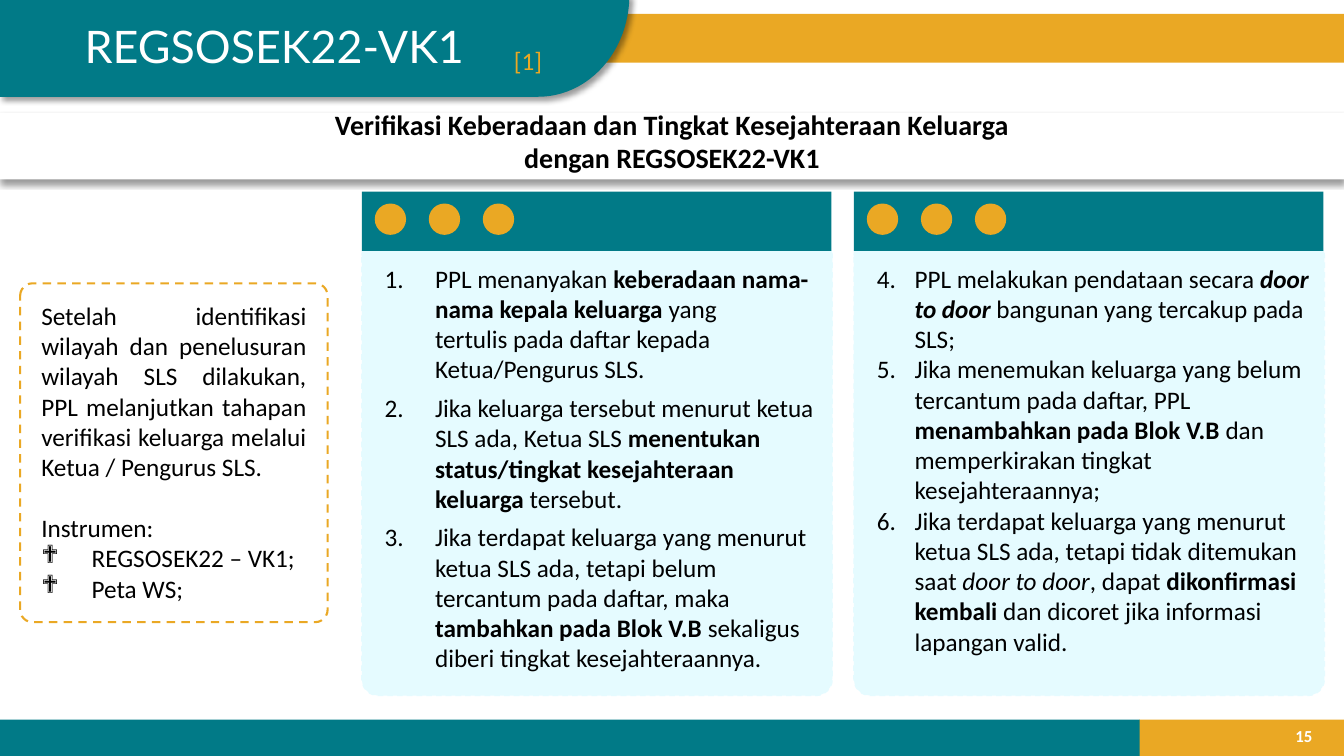
from math import cos, pi, sin

from lxml import etree
from pptx import Presentation
from pptx.dml.color import RGBColor
from pptx.enum import dml, shapes as sh, text as tx
from pptx.oxml import ns
from pptx.util import Pt

TEAL, GOLD, PALE, WHITE, BLACK = "017A87", "EAA824", "E5FBFF", "FFFFFF", "000000"
WIDE, HIGH = 960, 540
RECT, ROUND, OVAL = (sh.MSO_SHAPE.RECTANGLE, sh.MSO_SHAPE.ROUNDED_RECTANGLE,
                     sh.MSO_SHAPE.OVAL)
LEFT, MID, RIGHT, JUST = (tx.PP_ALIGN.LEFT, tx.PP_ALIGN.CENTER,
                          tx.PP_ALIGN.RIGHT, tx.PP_ALIGN.JUSTIFY)

# Each step is a list of runs: (text, style), where style holds b and/or i.
STEPS_A = [
    [("PPL menanyakan ", ""), ("keberadaan nama-nama kepala keluarga", "b"),
     (" yang tertulis\u00a0pada daftar kepada Ketua/Pengurus SLS.", "")],
    [("Jika keluarga tersebut menurut ketua SLS ada, Ketua SLS ", ""),
     ("menentukan status/tingkat kesejahteraan keluarga", "b"),
     (" tersebut.", "")],
    [("Jika terdapat keluarga yang menurut ketua SLS ada, tetapi belum "
      "tercantum pada daftar, maka", ""),
     (" tambahkan pada Blok V.B ", "b"),
     ("sekaligus diberi tingkat kesejahteraannya.", "")],
]
STEPS_B = [
    [("PPL melakukan pendataan secara ", ""), ("door to door", "bi"),
     (" bangunan yang tercakup pada SLS;", "")],
    [("Jika menemukan keluarga yang belum tercantum pada daftar, PPL ", ""),
     ("menambahkan pada Blok V.B ", "b"),
     ("dan memperkirakan tingkat kesejahteraannya;", "")],
    [("Jika terdapat keluarga yang menurut ketua SLS ada, tetapi tidak "
      "ditemukan saat ", ""), ("door to door", "i"), (", dapat ", ""),
     ("dikonfirmasi kembali ", "b"),
     ("dan dicoret jika informasi lapangan valid.", "")],
]


def paint(fmt, color):
    fmt.solid()
    fmt.fore_color.rgb = RGBColor.from_string(color)


def child(node, tag, **attrs):
    return etree.SubElement(node, ns.qn(tag), attrs)


def style(shape, fill=None, line=None, weight=1):
    """Fill a shape and give it a dashed line, or none."""
    shape.shadow.inherit = False
    if fill:
        paint(shape.fill, fill)
    else:
        shape.fill.background()
    if line:
        paint(shape.line.fill, line)
        shape.line.width = Pt(weight)
        shape.line.dash_style = dml.MSO_LINE.DASH
    else:
        shape.line.fill.background()
    return shape


def block(slide, kind, x, y, w, h, fill=None, **look):
    shape = slide.shapes.add_shape(kind, Pt(x), Pt(y), Pt(w), Pt(h))
    return style(shape, fill, **look)


def shade(shape, angle):
    """Cast a soft black shadow at an angle in degrees."""
    effect = shape.element.spPr.find(ns.qn("a:effectLst"))
    cast = child(effect, "a:outerShdw", blurRad=str(Pt(4)), dist=str(Pt(3)),
                 dir=str(angle * 60000), algn="t", rotWithShape="0")
    child(child(cast, "a:srgbClr", val=BLACK), "a:alpha", val="40000")


def bullet(para, indent, mark=None, start=1):
    """Hang a paragraph behind a mark, or behind a number."""
    props = para._p.get_or_add_pPr()
    props.set("marL", str(Pt(indent)))
    props.set("indent", str(-Pt(indent)))
    child(child(props, "a:buClr"), "a:srgbClr", val=BLACK)
    if mark:
        child(props, "a:buFont", typeface="Wingdings")
        child(props, "a:buChar", char=mark)
    else:
        child(props, "a:buFont", typeface="+mj-lt")
        child(props, "a:buAutoNum", type="arabicPeriod", startAt=str(start))


def font(para, size, color=BLACK, bold=None, face="Calibri", align=LEFT):
    para.alignment = align
    para.font.size, para.font.name, para.font.bold = Pt(size), face, bold
    paint(para.font.fill, color)


def write(slide, x, y, w, h, lines, size, wrap=True, **look):
    box = slide.shapes.add_textbox(Pt(x), Pt(y), Pt(w), Pt(h))
    frame = box.text_frame
    frame.word_wrap = wrap
    frame.text = "\n".join(lines)
    for para in frame.paragraphs:
        font(para, size, **look)
    return frame


def header(slide):
    block(slide, RECT, 363.6, 10, 596.4, 34.8, GOLD)
    top, low, edge, rx = -3.6, 69.1, 449.6, 65
    arc = [(edge - rx + rx * cos(k * pi / 48),
            top + (low - top) * sin(k * pi / 48)) for k in range(25)]
    outline = slide.shapes.build_freeform(Pt(-0.7), Pt(top), 1.0)
    outline.add_line_segments(
        [(Pt(px), Pt(py)) for px, py in arc + [(-0.7, low)]], close=True)
    shade(style(outline.convert_to_shape(), TEAL), 45)

    title = slide.shapes.title
    slide.shapes.element.append(title.element)  # in front of the tab
    title.left, title.top, title.width, title.height = map(
        Pt, (53.3, 10, 322.6, 46))
    frame = title.text_frame
    frame.text = "REGSOSEK22-VK1"
    frame.auto_size = tx.MSO_AUTO_SIZE.NONE
    frame.vertical_anchor = tx.MSO_ANCHOR.TOP
    font(frame.paragraphs[0], 32, WHITE, face="Lato")
    write(slide, 360, 29, 34.6, 29, ["[1]"], 18, wrap=False, color=GOLD)


def banner(slide, y):
    shade(block(slide, RECT, 0, y, WIDE, 47.5, WHITE), 90)
    write(slide, 23, y - 7.7, 914, 55.7,
          ["Verifikasi Keberadaan dan Tingkat Kesejahteraan Keluarga",
           "dengan REGSOSEK22-VK1"], 20, bold=True, align=MID)


def note(slide, x, y, w, h):
    frame = block(slide, ROUND, x, y, w, h, line=GOLD, weight=1.5)
    frame.adjustments[0] = 0.04
    body = write(slide, x + 8, y + 8.5, w - 16, h - 17, [
        "Setelah identifikasi wilayah dan penelusuran wilayah SLS dilakukan, "
        "PPL melanjutkan tahapan verifikasi keluarga melalui "
        "Ketua / Pengurus SLS.",
        "Instrumen:", "REGSOSEK22 – VK1;", "Peta WS;"], 18, align=JUST)
    body.paragraphs[1].space_before = Pt(22)
    for para in body.paragraphs[2:]:
        bullet(para, 36, "❖")


def card(slide, x, y, steps, start, indent, gap):
    """Draw a panel with a dotted header and a numbered list."""
    base = block(slide, ROUND, x, y + 34, 336, 326, PALE, line=PALE)
    base.adjustments[0] = 0.036
    block(slide, RECT, x, y, 335.3, 42.5, TEAL)
    for k in range(3):
        block(slide, OVAL, x + 9.2 + 38.6 * k, y + 8.6, 22.4, 22.4, GOLD)
    frame = write(slide, x + 9.2, y + 47.5, 327, 305, [""] * len(steps), 18)
    for k, (para, runs) in enumerate(zip(frame.paragraphs, steps)):
        # Bullet elements come before the default run properties.
        props = para._p.get_or_add_pPr()
        for node in list(props):
            props.remove(node)
        bullet(para, indent, start=start)
        font(para, 18)
        if k:
            para.space_before = Pt(gap)
        for words, mode in runs:
            run = para.add_run()
            run.text = words
            run.font.bold = "b" in mode
            run.font.italic = "i" in mode


def footer(slide, y):
    block(slide, RECT, 813.6, y, 146.4, HIGH - y, GOLD)
    block(slide, RECT, -0.7, y, 814.7, HIGH - y, TEAL)
    frame = write(slide, 910.8, y - 2.9, 33.8, 28.8, ["15"], 12,
                  color=WHITE, bold=True, align=RIGHT)
    frame.vertical_anchor = tx.MSO_ANCHOR.MIDDLE


def main():
    deck = Presentation()
    deck.slide_width, deck.slide_height = Pt(WIDE), Pt(HIGH)
    slide = deck.slides.add_slide(deck.slide_layouts[5])
    footer(slide, 514)
    header(slide)
    banner(slide, 80.6)
    note(slide, 14.4, 202.4, 219.6, 242)
    card(slide, 258.5, 136.8, STEPS_A, 1, 36, 6)
    card(slide, 610, 136.8, STEPS_B, 4, 27, 0)
    deck.save("out.pptx")


if __name__ == "__main__":
    main()
